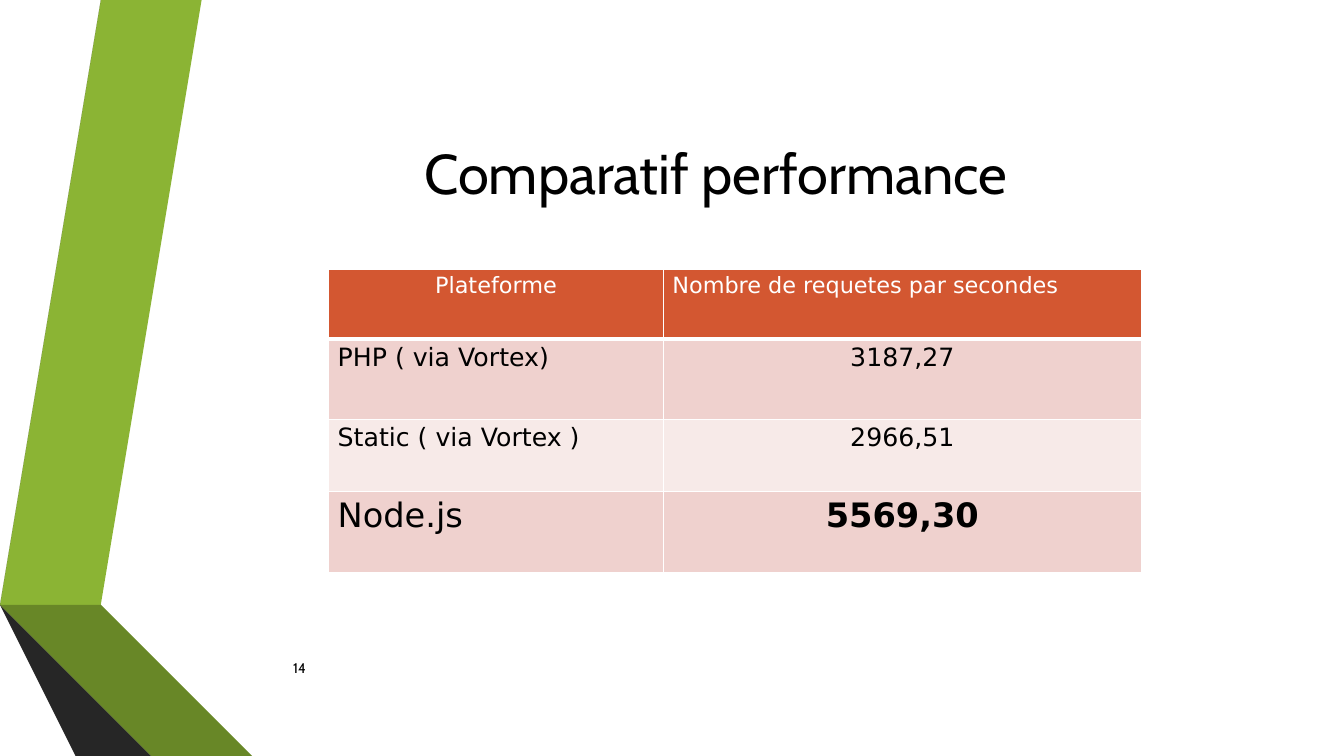
from dataclasses import dataclass

from lxml import etree
from pptx import Presentation
from pptx.dml.color import RGBColor
from pptx.enum.text import MSO_ANCHOR, PP_ALIGN
from pptx.oxml.ns import qn
from pptx.util import Inches, Pt

LEFT, CENTER = PP_ALIGN.LEFT, PP_ALIGN.CENTER
MIDDLE = MSO_ANCHOR.MIDDLE


@dataclass(frozen=True)
class Theme:
    font: str = "Cabin"
    table_font: str = "DejaVu Sans"
    black: str = "000000"
    white: str = "FFFFFF"
    header: str = "D35731"
    bands: tuple = ("EFD1CE", "F7EAE8")
    title_size: int = 40
    number_size: int = 10
    header_size: int = 16
    body_size: int = 18
    highlight_size: int = 24


THEME = Theme()

TITLE = "Comparatif performance"
PAGE_NUMBER = "14"
TITLE_BOX = (1.62, 0.75, 10.96, 1.92)
NUMBER_BOX = (2.81, 6.43, 7.75, 0.4)

# Each cell: text, alignment, size, bold
ROWS = [
    [("Plateforme", CENTER, THEME.header_size, False),
     ("Nombre de requetes par secondes", LEFT, THEME.header_size, False)],
    [("PHP ( via Vortex)", LEFT, THEME.body_size, False),
     ("3187,27", CENTER, THEME.body_size, False)],
    [("Static ( via Vortex )", LEFT, THEME.body_size, False),
     ("2966,51", CENTER, THEME.body_size, False)],
    [("Node.js", LEFT, THEME.highlight_size, False),
     ("5569,30", CENTER, THEME.highlight_size, True)],
]
TABLE_ORIGIN = (3.26, 2.67)
COL_WIDTHS = (3.32, 4.74)
ROW_HEIGHTS = (0.69, 0.8, 0.72, 0.8)

# Folded ribbons, from back to front: colour, corner points
RIBBONS = [
    ("8BB434", [(0.5, 5.78), (0.77, 5.83), (1.73, 0), (1.45, 0)]),
    ("595959", [(1.39, 0), (1.11, 0), (0.16, 5.73), (0.44, 5.77)]),
    ("262626", [(0.16, 5.73), (1.45, 7.5), (1.51, 7.5)]),
    ("465A1A", [(0.5, 5.79), (2.08, 7.5), (2.14, 7.5)]),
    ("688727", [(0.5, 5.79), (2.14, 7.5), (2.83, 7.5), (0.77, 5.83), (0.5, 5.78)]),
    ("404040", [(2.02, 7.5), (0.48, 5.83), (0.44, 5.77), (0.16, 5.73), (1.51, 7.5)]),
]


def write(tf, text, font, size, color, align=LEFT, bold=False):
    p = tf.paragraphs[0]
    p.alignment = align
    r = p.add_run()
    r.text = text
    r.font.name = font
    r.font.size = Pt(size)
    r.font.bold = bold
    r.font.color.rgb = RGBColor.from_string(color)


def add_ribbon(s, color, points):
    builder = s.shapes.build_freeform(*points[0], scale=Inches(1))
    builder.add_line_segments(points[1:], close=True)
    sp = builder.convert_to_shape()
    sp.shadow.inherit = False
    sp.fill.solid()
    sp.fill.fore_color.rgb = RGBColor.from_string(color)
    sp.line.fill.background()


def set_borders(cell, bottom):
    """Draw white borders, 1 pt wide except for the given bottom width."""
    tc_pr = cell._tc.get_or_add_tcPr()
    widths = {"a:lnL": 1, "a:lnR": 1, "a:lnT": 1, "a:lnB": bottom}
    for i, (tag, width) in enumerate(widths.items()):
        ln = etree.Element(qn(tag), w=str(Pt(width)))
        fill = etree.SubElement(ln, qn("a:solidFill"))
        etree.SubElement(fill, qn("a:srgbClr"), val=THEME.white)
        tc_pr.insert(i, ln)


def add_comparison_table(s):
    size = (sum(COL_WIDTHS), sum(ROW_HEIGHTS))
    table = s.shapes.add_table(len(ROWS), len(COL_WIDTHS),
                               *map(Inches, TABLE_ORIGIN + size)).table
    for col, width in zip(table.columns, COL_WIDTHS):
        col.width = Inches(width)
    for i, (row, height) in enumerate(zip(table.rows, ROW_HEIGHTS)):
        row.height = Inches(height)
        is_header = i == 0
        fill = THEME.header if is_header else THEME.bands[(i - 1) % 2]
        color = THEME.white if is_header else THEME.black
        for cell, (text, align, size, bold) in zip(row.cells, ROWS[i]):
            cell.margin_left = cell.margin_right = Inches(0.09)
            cell.margin_top = cell.margin_bottom = Inches(0.04)
            cell.fill.solid()
            cell.fill.fore_color.rgb = RGBColor.from_string(fill)
            set_borders(cell, bottom=3 if is_header else 1)
            write(cell.text_frame, text, THEME.table_font, size, color, align, bold)


def main():
    prs = Presentation()
    prs.slide_width, prs.slide_height = Inches(13.33), Inches(7.5)
    s = prs.slides.add_slide(prs.slide_layouts[5])

    for color, points in RIBBONS:
        add_ribbon(s, color, points)

    title = s.shapes.title
    title.left, title.top, title.width, title.height = map(Inches, TITLE_BOX)
    title.text_frame.vertical_anchor = MIDDLE
    write(title.text_frame, TITLE, THEME.font, THEME.title_size, THEME.black, CENTER)

    number = s.shapes.add_textbox(*map(Inches, NUMBER_BOX))
    number.text_frame.word_wrap = True
    number.text_frame.vertical_anchor = MIDDLE
    write(number.text_frame, PAGE_NUMBER, THEME.font, THEME.number_size, THEME.black)

    add_comparison_table(s)
    prs.save("out.pptx")


if __name__ == "__main__":
    main()
